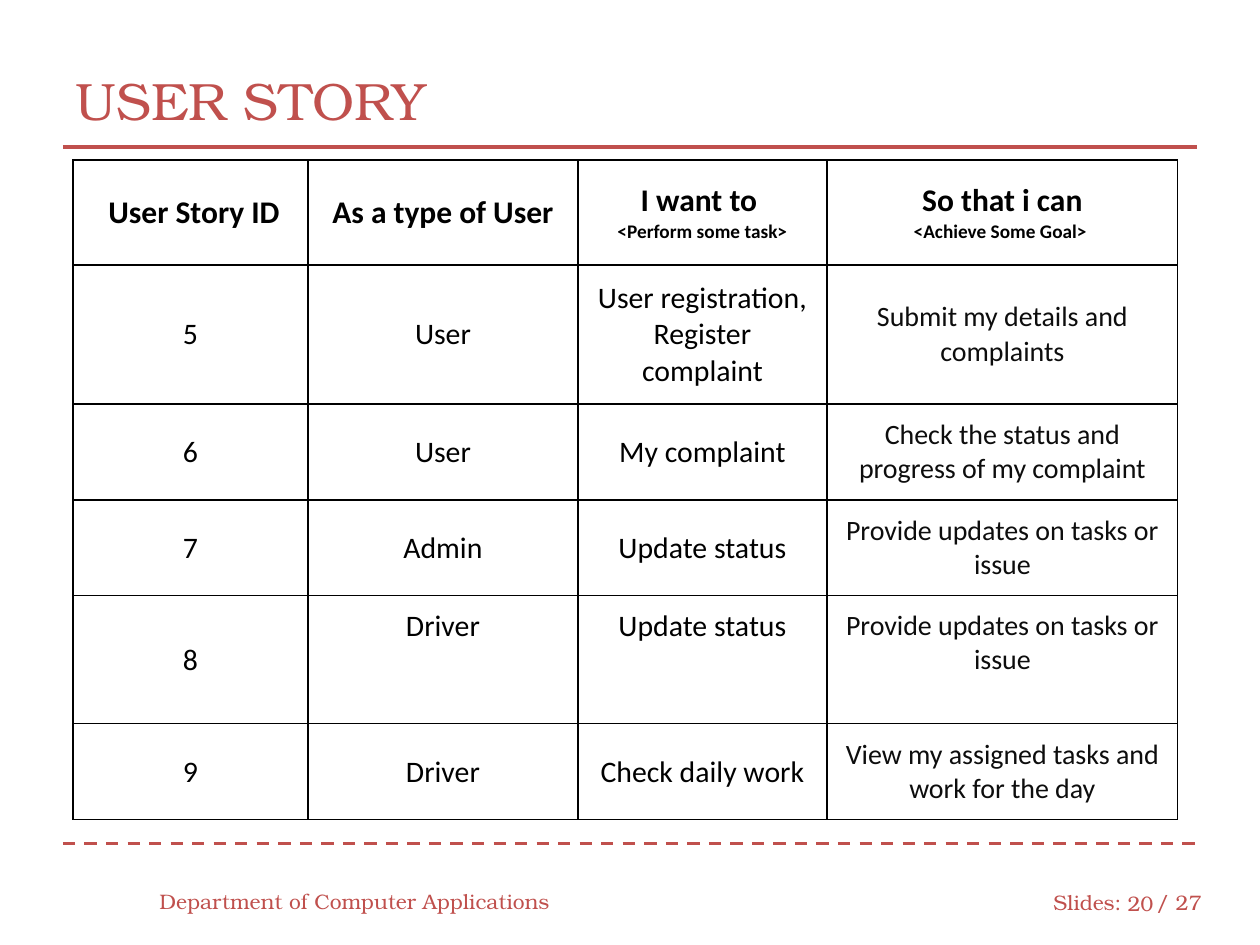
from lxml import etree
from pptx import Presentation, util as u
from pptx.dml.color import RGBColor
from pptx.enum import dml, shapes, text
from pptx.oxml import parse_xml
from pptx.oxml.ns import nsdecls, qn

EMU_PER_PX = 914400 // 126
COLORS = {"accent": "C0504D", "ink": "000000", "goal": "0D0D0D", "paper": "FFFFFF"}
HEADING_FONT, TABLE_FONT = "TeX Gyre Bonum", "Calibri"
MIDDLE, TOP = text.MSO_ANCHOR.MIDDLE, text.MSO_ANCHOR.TOP
LEFT, CENTER, RIGHT = text.PP_ALIGN.LEFT, text.PP_ALIGN.CENTER, text.PP_ALIGN.RIGHT

COLUMN_WIDTHS = [235, 270, 249, 351]
ROW_HEIGHTS = [105, 139, 96, 96, 128, 96]
HEADINGS = [
    [" User Story ID"],
    ["As a type of User"],
    ["I want to ", "<Perform some task>"],
    ["So that i can", "<Achieve Some Goal> "],
]
STORIES = [
    ("5", "User", "User registration, Register complaint", "Submit my details and complaints"),
    ("6", "User", "My complaint", "Check the status and progress of my complaint"),
    ("7", "Admin", "Update status", "Provide updates on tasks or issue"),
    ("8", "Driver", "Update status", "Provide updates on tasks or issue"),
    ("9", "Driver", "Check daily work", "View my assigned tasks and work for the day"),
]
TOP_ALIGNED_STORY = "8"


def px(length):
    return u.Emu(length * EMU_PER_PX)


def rgb(name):
    return RGBColor.from_string(COLORS[name])


def write(paragraph, words, size, color, font=HEADING_FONT, align=LEFT, bold=False):
    paragraph.alignment = align
    run = paragraph.add_run()
    run.text = words
    run.font.color.rgb = rgb(color)
    for name, value in {"size": u.Pt(size), "name": font, "bold": bold}.items():
        setattr(run.font, name, value)


def place_title(slide, words, box):
    title = slide.shapes.title
    for side, length in zip(("left", "top", "width", "height"), box):
        setattr(title, side, px(length))
    title.text_frame.vertical_anchor = MIDDLE
    write(title.text_frame.paragraphs[0], words, 30, "accent")


def add_footer(slide, words, box, align=LEFT):
    frame = slide.shapes.add_textbox(*map(px, box)).text_frame
    frame.word_wrap = True
    frame.vertical_anchor = MIDDLE
    write(frame.paragraphs[0], words, 12, "accent", align=align)


def add_rule(slide, y, dash=None):
    rule = slide.shapes.add_connector(
        shapes.MSO_CONNECTOR.STRAIGHT, px(63), px(y), px(1197), px(y))
    rule.line.color.rgb = rgb("accent")
    rule.line.width = u.Pt(1.75 if dash else 2.5)
    if dash:
        rule.line.dash_style = dash
    etree.SubElement(rule._element.spPr, qn("a:effectLst"))


def add_borders(cell):
    """Line all four sides; borders must come before the fill in the cell."""
    properties = cell._tc.get_or_add_tcPr()
    for position, side in enumerate(("lnL", "lnR", "lnT", "lnB")):
        properties.insert(position, parse_xml(
            f'<a:{side} {nsdecls("a")} w="9525"><a:solidFill>'
            f'<a:srgbClr val="{COLORS["ink"]}"/></a:solidFill></a:{side}>'))


def fill_cell(cell, lines, anchor=MIDDLE):
    """Write (words, size, color, bold) lines into a bordered white cell."""
    cell.fill.solid()
    cell.fill.fore_color.rgb = rgb("paper")
    add_borders(cell)
    cell.vertical_anchor = anchor
    for side in ("left", "right", "top", "bottom"):
        setattr(cell, f"margin_{side}", u.Inches(0.1))
    for number, (words, size, color, bold) in enumerate(lines):
        frame = cell.text_frame
        paragraph = frame.add_paragraph() if number else frame.paragraphs[0]
        write(paragraph, words, size, color, TABLE_FONT, CENTER, bold)


def add_story_table(slide):
    table = slide.shapes.add_table(
        len(ROW_HEIGHTS), len(COLUMN_WIDTHS), px(73), px(160),
        px(sum(COLUMN_WIDTHS)), px(sum(ROW_HEIGHTS))).table
    table.first_row = table.horz_banding = False
    for column, width in zip(table.columns, COLUMN_WIDTHS):
        column.width = px(width)
    for row, height in zip(table.rows, ROW_HEIGHTS):
        row.height = px(height)

    for column, heading in enumerate(HEADINGS):
        fill_cell(table.cell(0, column),
                  [(words, size, "ink", True) for words, size in zip(heading, (18, 11))])
    goal_column = len(HEADINGS) - 1
    for row, story in enumerate(STORIES, start=1):
        for column, words in enumerate(story):
            size, color = (16, "goal") if column == goal_column else (17, "ink")
            at_top = story[0] == TOP_ALIGNED_STORY and column > 0
            fill_cell(table.cell(row, column), [(words, size, color, False)],
                      TOP if at_top else MIDDLE)


def main():
    deck = Presentation()
    deck.slide_width, deck.slide_height = px(1260), px(945)
    slide = deck.slides.add_slide(deck.slide_layouts[5])
    add_footer(slide, "Slides:", (1041, 877, 95, 50))
    add_footer(slide, "/ 27", (1144, 877, 73, 50))
    add_rule(slide, 844, dml.MSO_LINE.DASH)
    add_rule(slide, 147)
    place_title(slide, "USER STORY", (63, 42, 1134, 116))
    add_footer(slide, "Department of Computer Applications", (147, 876, 420, 50))
    add_footer(slide, "20", (1113, 878, 53, 50), RIGHT)
    add_story_table(slide)
    deck.save("out.pptx")


if __name__ == "__main__":
    main()
